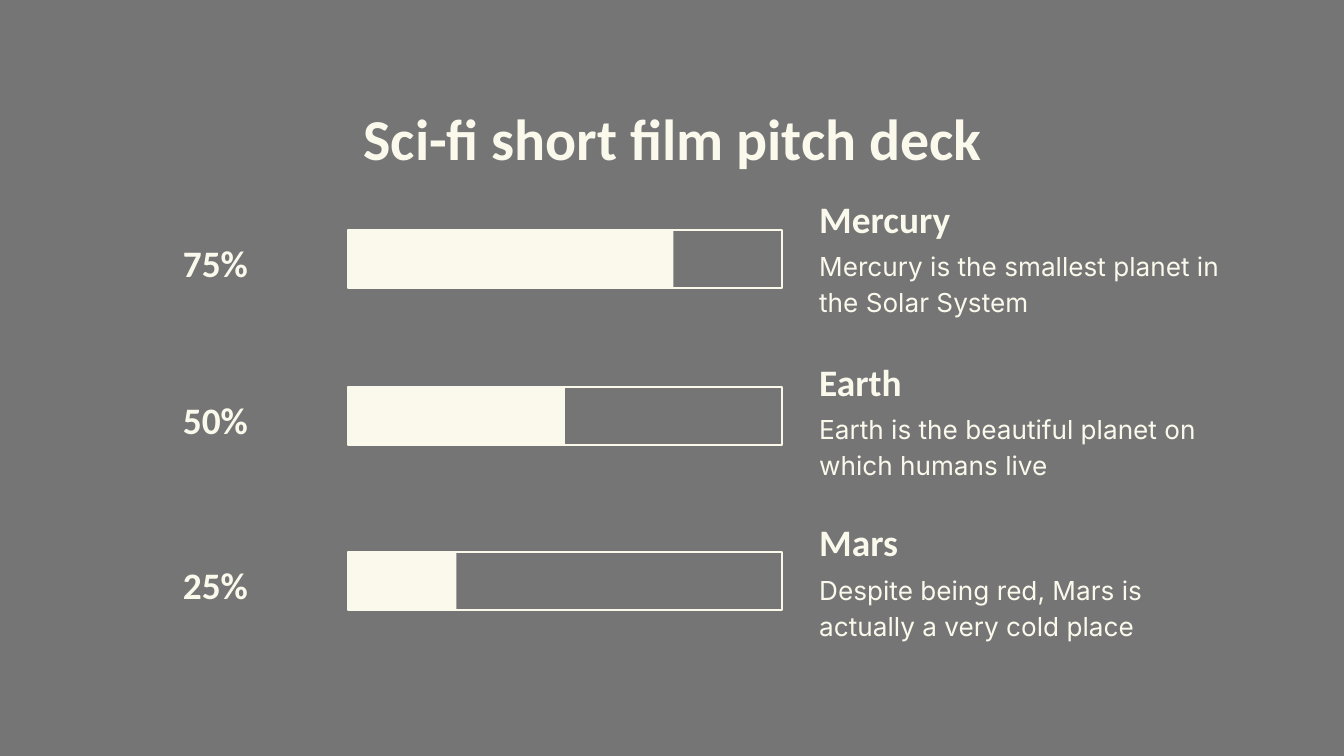
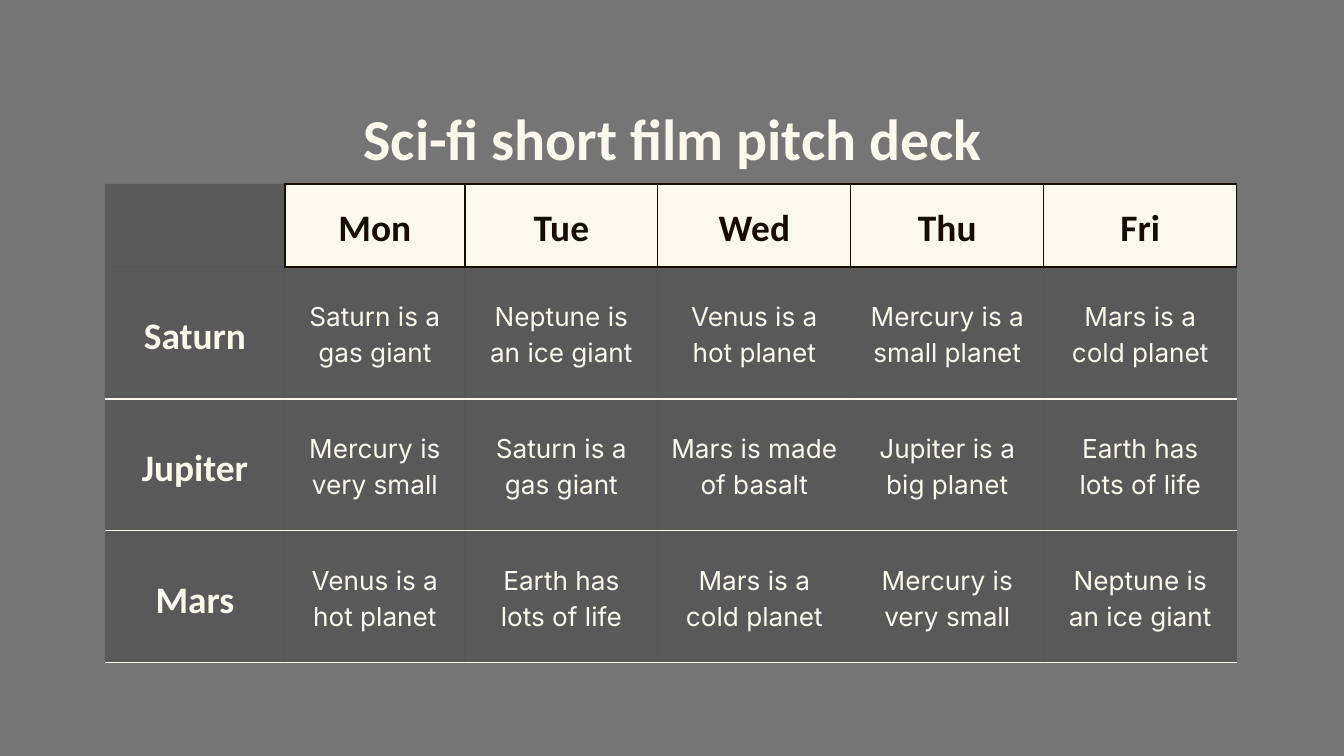
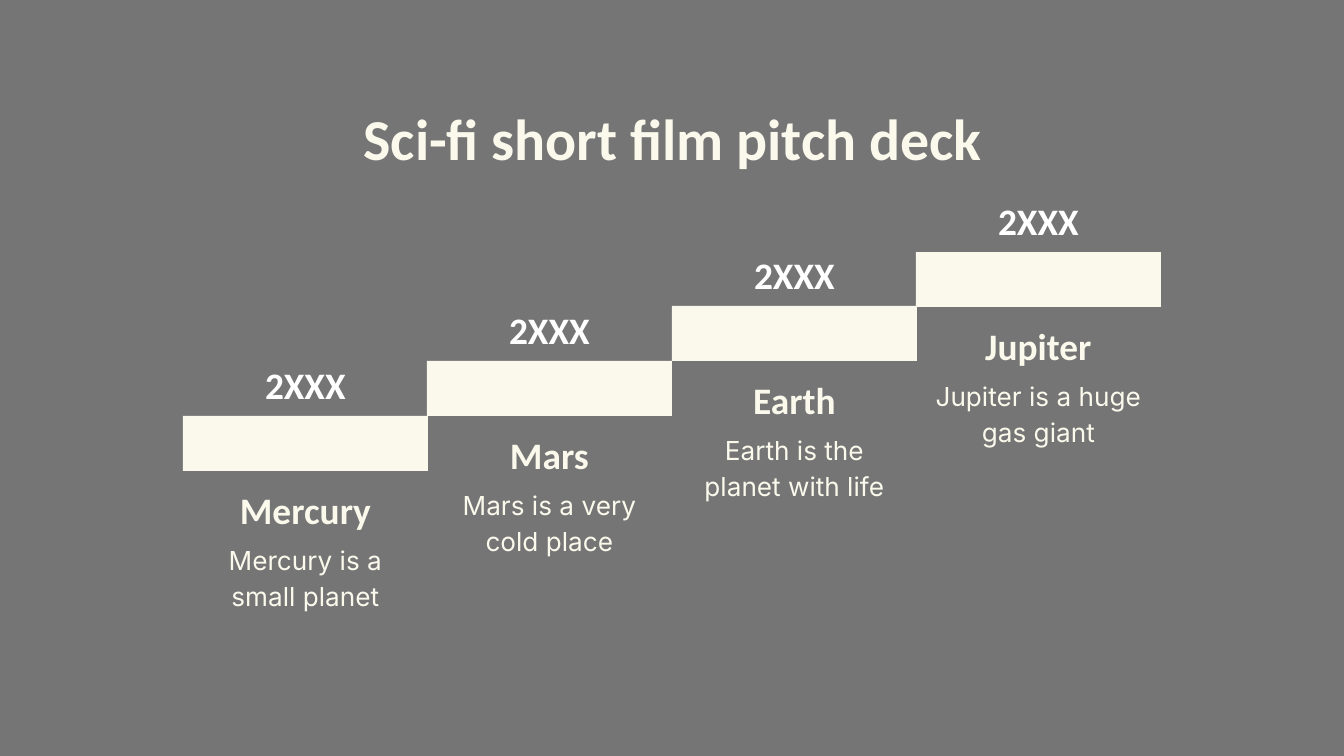
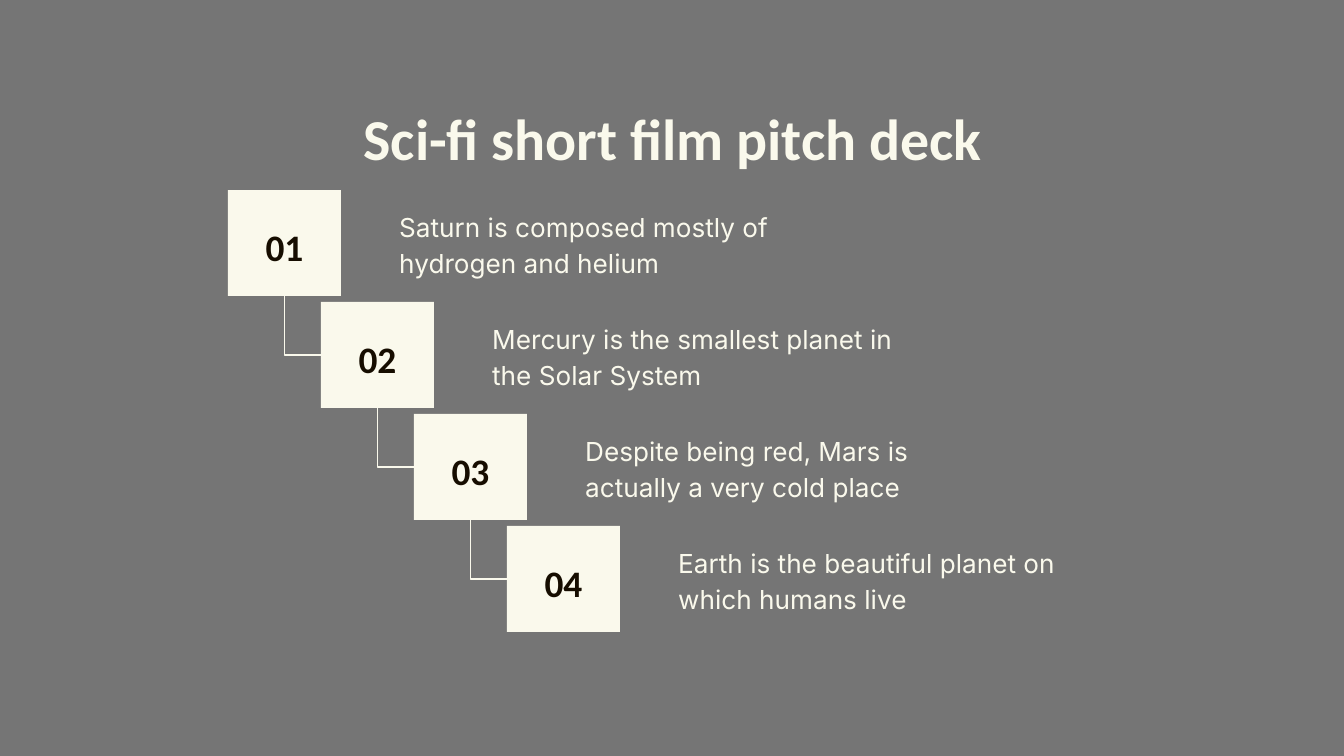
from pptx import Presentation
from pptx.dml.color import RGBColor
from pptx.enum.shapes import MSO_CONNECTOR, MSO_SHAPE
from pptx.enum.text import MSO_ANCHOR, MSO_AUTO_SIZE, PP_ALIGN
from pptx.oxml.ns import qn
from pptx.oxml.xmlchemy import OxmlElement
from pptx.util import Emu, Inches, Pt

CREAM, INK, WHITE, VEIL, BLACK = "FAF9EC", "160D00", "FFFFFF", "161616", "000000"
TITLE = {"name": "Calibri", "size": Pt(31), "bold": True}
HEADING = {"name": "Calibri", "size": Pt(20), "bold": True}
BODY = {"name": "Inter", "size": Pt(14), "bold": False}
TOP, MIDDLE, BOTTOM = MSO_ANCHOR.TOP, MSO_ANCHOR.MIDDLE, MSO_ANCHOR.BOTTOM
LEFT, CENTER = PP_ALIGN.LEFT, PP_ALIGN.CENTER
MARGINS = ("margin_left", "margin_top", "margin_right", "margin_bottom")
HAIRLINE = Pt(0.75)
NO_GRID_STYLE = "{2D5ABB26-0587-4C30-8999-92F81FD0307C}"
DECK_TITLE = "Sci-fi short film pitch deck"

PROGRESS = [
    (230, 185, 75, "Mercury", "Mercury is the smallest planet in the Solar System"),
    (387, 348, 50, "Earth", "Earth is the beautiful planet on which humans live"),
    (552, 509, 25, "Mars", "Despite being red, Mars is actually a very cold place"),
]
SCHEDULE = [
    ["", "Mon", "Tue", "Wed", "Thu", "Fri"],
    ["Saturn", "Saturn is a gas giant", "Neptune is an ice giant", "Venus is a hot planet",
     "Mercury is a small planet", "Mars is a cold planet"],
    ["Jupiter", "Mercury is very small", "Saturn is a gas giant", "Mars is made of basalt",
     "Jupiter is a big planet", "Earth has lots of life"],
    ["Mars", "Venus is a hot planet", "Earth has lots of life", "Mars is a cold planet",
     "Mercury is very small", "Neptune is an ice giant"],
]
TIMELINE = [
    (416, "Mercury", "Mercury is a small planet"),
    (361, "Mars", "Mars is a very cold place"),
    (306, "Earth", "Earth is the planet with life"),
    (252, "Jupiter", "Jupiter is a huge gas giant"),
]
STAGES = [
    "Saturn is composed mostly of hydrogen and helium",
    "Mercury is the smallest planet in the Solar System",
    "Despite being red, Mars is actually a very cold place",
    "Earth is the beautiful planet on which humans live",
]


def px(*lengths):
    """Turn pixel lengths into a list of EMU lengths."""
    return [Emu(round(length * 914400 / 134.4)) for length in lengths]


def paint(fill, color, opacity=None):
    """Make a fill solid in a hex colour, with an optional opacity in percent."""
    fill.solid()
    fill.fore_color.rgb = RGBColor.from_string(color)
    if opacity is not None:
        alpha = OxmlElement("a:alpha")
        alpha.set("val", str(opacity * 1000))
        fill._xPr.find(".//" + qn("a:srgbClr")).append(alpha)


def write(frame, text, style, color, align=CENTER):
    """Put one styled paragraph into a text frame."""
    para = frame.paragraphs[0]
    para.alignment = align
    para.line_spacing = 1.15
    span = para.add_run()
    span.text = text
    for name, value in style.items():
        setattr(span.font, name, value)
    paint(span.font.fill, color)


def set_margins(holder):
    """Give a text frame or table cell its even margins."""
    for margin in MARGINS:
        setattr(holder, margin, Inches(0.1))


def fit_frame(frame, anchor):
    """Set wrapping, anchoring and margins of a text frame."""
    settings = {"auto_size": MSO_AUTO_SIZE.NONE, "word_wrap": True, "vertical_anchor": anchor}
    for name, value in settings.items():
        setattr(frame, name, value)
    set_margins(frame)


def add_label(shapes, box, text, style, color=CREAM, align=CENTER, anchor=MIDDLE):
    """Add a text box."""
    frame = shapes.add_textbox(*px(*box)).text_frame
    fit_frame(frame, anchor)
    write(frame, text, style, color, align)


def add_block(shapes, box, fill=CREAM, line=None, opacity=None):
    """Add a flat rectangle, filled or outlined."""
    block = shapes.add_shape(MSO_SHAPE.RECTANGLE, *px(*box))
    block.shadow.inherit = False
    if fill:
        paint(block.fill, fill, opacity)
    else:
        block.fill.background()
    if line:
        paint(block.line.fill, line)
        block.line.width = HAIRLINE
    else:
        block.line.fill.background()
    return block


def add_page(deck):
    """Add a title-only slide with the shared title."""
    page = deck.slides.add_slide(deck.slide_layouts[5])
    title = page.shapes.title
    title.left, title.top, title.width, title.height = px(106, 79, 1133, 93)
    fit_frame(title.text_frame, TOP)
    write(title.text_frame, DECK_TITLE, TITLE, CREAM)
    return page


def add_veil(deck, page):
    """Lay the translucent grey veil over the master's background."""
    veil = add_block(page.shapes, (0, 0, 1344, 756), VEIL, opacity=59)
    deck.slide_master.shapes.element.insert(2, veil.element)


def add_progress_row(page, bar_top, text_top, percent, name, about):
    """Draw a percentage, its bar and the planet beside it."""
    shapes = page.shapes.add_group_shape().shapes
    left, width, height = 348, 434, 58
    add_label(shapes, (806, text_top + 47, width, 106), about, BODY, align=LEFT, anchor=TOP)
    add_label(shapes, (806, text_top, width, 69), name, HEADING, align=LEFT, anchor=BOTTOM)
    add_label(shapes, (118, bar_top + 2, 195, 54), f"{percent}%", HEADING)
    add_block(shapes, (left, bar_top, width, height), None, CREAM)
    add_block(shapes, (left, bar_top, width * percent / 100, height))


def add_border(cell, edge, color):
    """Draw one edge (L, R, T or B) of a table cell."""
    properties = cell._tc.get_or_add_tcPr()
    line = OxmlElement(f"a:ln{edge}")
    line.set("w", str(HAIRLINE))
    solid = OxmlElement("a:solidFill")
    tint = OxmlElement("a:srgbClr")
    tint.set("val", color)
    solid.append(tint)
    line.append(solid)
    position = sum(child.tag.startswith(qn("a:ln")) for child in properties)
    properties.insert(position, line)


def style_cell(cell, row, column):
    """Fill, border and write one schedule cell."""
    header = row == 0 and column > 0
    if header:
        paint(cell.fill, CREAM)
        edges = dict.fromkeys("LRTB", INK)
    else:
        paint(cell.fill, BLACK, 24)
        edges = {"T": INK if row == 1 else CREAM, "B": CREAM}
        if column == 0 and row < 2:
            edges = {"B": CREAM} if row else {"R": INK}
    for edge, color in edges.items():
        add_border(cell, edge, color)
    cell.vertical_anchor = MIDDLE
    set_margins(cell)
    text = SCHEDULE[row][column]
    if text:
        style = HEADING if row == 0 or column == 0 else BODY
        write(cell.text_frame, text, style, INK if header else CREAM)


def add_schedule(page, left, top):
    """Draw the week table."""
    widths, heights = [180] * 2 + [193] * 4, [83] + [132] * 3
    box = px(left, top, sum(widths), sum(heights))
    holder = page.shapes.add_table(len(heights), len(widths), *box)
    table = holder.table
    table.first_row = table.horz_banding = False
    for style in holder.element.iter(qn("a:tableStyleId")):
        style.text = NO_GRID_STYLE
    for column, width in zip(table.columns, px(*widths)):
        column.width = width
    for line, height in zip(table.rows, px(*heights)):
        line.height = height
    for row in range(len(heights)):
        for column in range(len(widths)):
            style_cell(table.cell(row, column), row, column)


def add_step(page, left, top, name, about):
    """Draw one timeline step with its year above and planet below."""
    shapes = page.shapes.add_group_shape().shapes
    width = 245
    add_label(shapes, (left, top + 53, width, 74), name, HEADING)
    add_label(shapes, (left, top + 110, width, 86), about, BODY, anchor=TOP)
    add_block(shapes, (left, top, width, 55))
    add_label(shapes, (left, top - 72, width, 74), "2XXX", HEADING, WHITE)


def add_stage(page, left, top, number, about):
    """Draw a numbered square with its sentence and return the square."""
    shapes = page.shapes.add_group_shape().shapes
    square = add_block(shapes, (left, top, 113, 106))
    fit_frame(square.text_frame, MIDDLE)
    write(square.text_frame, f"{number:02}", HEADING, INK)
    add_label(shapes, (left + 158, top + 11, 452, 83), about, BODY, align=LEFT)
    return square


def join_stages(page, upper, lower):
    """Join the left of the lower square to the bottom of the upper one."""
    elbow = page.shapes.add_connector(
        MSO_CONNECTOR.ELBOW,
        lower.left, lower.top + lower.height // 2,
        upper.left + upper.width // 2, upper.top + upper.height)
    elbow.begin_connect(lower, 1)
    elbow.end_connect(upper, 2)
    paint(elbow.line.fill, CREAM)
    elbow.line.width = HAIRLINE
    properties = elbow.element.spPr
    properties.find(qn("a:prstGeom")).set("prst", "bentConnector2")
    properties.append(OxmlElement("a:effectLst"))


def main():
    """Build and save the deck."""
    deck = Presentation()
    deck.slide_width, deck.slide_height = px(1344, 756)

    page = add_page(deck)
    add_veil(deck, page)
    for row in PROGRESS:
        add_progress_row(page, *row)

    add_schedule(add_page(deck), 105, 184)

    page = add_page(deck)
    for index, step in enumerate(TIMELINE):
        add_step(page, 183 + index * 489 // 2, *step)

    page = add_page(deck)
    squares = [add_stage(page, 228 + 93 * index, 190 + 112 * index, index + 1, about)
               for index, about in enumerate(STAGES)]
    for upper, lower in zip(squares, squares[1:]):
        join_stages(page, upper, lower)

    deck.save("out.pptx")


if __name__ == "__main__":
    main()
